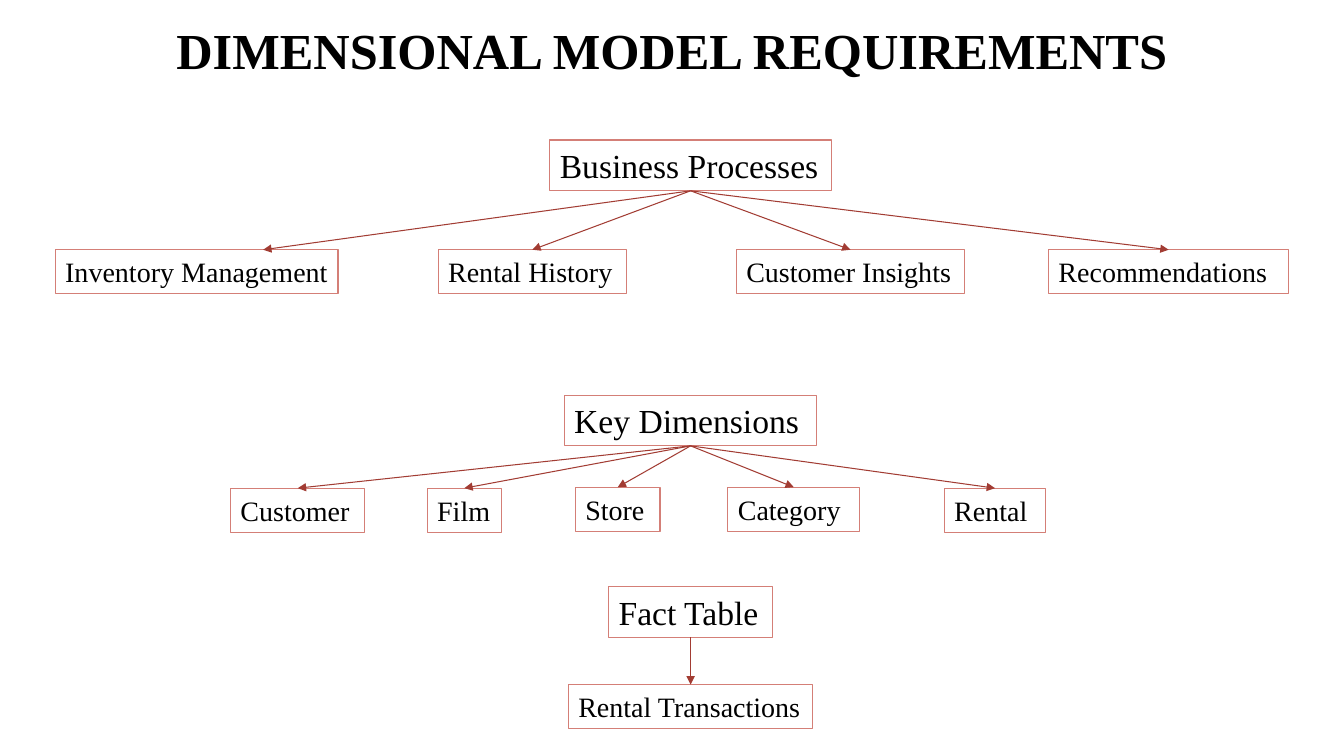
from lxml import etree
from pptx import Presentation
from pptx.dml.color import RGBColor
from pptx.enum.shapes import MSO_CONNECTOR as CONN, MSO_SHAPE as SHAPE
from pptx.enum.text import MSO_ANCHOR as ANCHOR, MSO_AUTO_SIZE as AUTO, PP_ALIGN as ALIGN
from pptx.oxml.ns import qn
from pptx.util import Pt

TITLE = "DIMENSIONAL MODEL REQUIREMENTS"
# Each tree: (root text, top, width), [(child text, left, top, width, arrow end or None)]
TREES = [
    (("Business Processes", 100, 201), [
        ("Inventory Management", 39.5, 178.4, 202, 188),
        ("Rental History", 313, 178.4, 134.5, None),
        ("Customer Insights", 526, 178.4, 163, None),
        ("Recommendations", 749, 178.4, 171.5, None),
    ]),
    (("Key Dimensions", 282.2, 180.5), [
        ("Customer", 164.7, 348.7, 96, None),
        ("Film", 305.2, 348.7, 53, None),
        ("Store", 411, 348, 60.5, None),
        ("Category", 520, 348, 94, None),
        ("Rental", 674.5, 348.7, 72.5, None),
    ]),
    (("Fact Table", 419, 117), [
        ("Rental Transactions", 406, 489, 174.6, None),
    ]),
]
COLORS = {"text": "000000", "border": "D47F77", "arrow": "A23C33"}
FONT = "Times New Roman"
ROOT_X, ROOT_H, CHILD_H = 493.3, 36.3, 31.5
ROOT_SIZE, CHILD_SIZE = 24, 20
BOTTOM, TOP = 2, 0


def rgb(name):
    return RGBColor.from_string(COLORS[name])


def write(tf, text, size, bold=False):
    tf.text = text
    font = tf.paragraphs[0].runs[0].font
    font.name, font.size, font.bold = FONT, Pt(size), bold
    font.color.rgb = rgb("text")


def add_box(slide, text, left, top, width, height, size):
    sp = slide.shapes.add_shape(SHAPE.RECTANGLE, Pt(left), Pt(top), Pt(width), Pt(height))
    sp.shadow.inherit = False
    sp.fill.background()
    sp.line.color.rgb = rgb("border")
    sp.line.width = Pt(0.75)
    tf = sp.text_frame
    write(tf, text, size)
    tf.word_wrap = True
    tf.margin_right = 0
    tf.vertical_anchor = ANCHOR.TOP
    tf.paragraphs[0].alignment = ALIGN.LEFT
    return sp


def add_arrow(slide, root, child, end_x):
    start = root.left + root.width // 2, root.top + root.height
    end = Pt(end_x) if end_x else child.left + child.width // 2
    line = slide.shapes.add_connector(CONN.STRAIGHT, *start, end, child.top)
    line.begin_connect(root, BOTTOM)
    if end_x is None:
        line.end_connect(child, TOP)
    line.line.color.rgb = rgb("arrow")
    line.line.width = Pt(0.75)
    etree.SubElement(line.line._get_or_add_ln(), qn("a:tailEnd"), type="triangle")
    etree.SubElement(line._element.spPr, qn("a:effectLst"))


def main():
    prs = Presentation()
    prs.slide_width, prs.slide_height = Pt(960), Pt(540)
    slide = prs.slides.add_slide(prs.slide_layouts[5])

    title = slide.shapes.title
    title.left, title.top, title.width, title.height = Pt(99), Pt(10), Pt(762), Pt(51)
    tf = title.text_frame
    write(tf, TITLE, 36, bold=True)
    tf.auto_size = AUTO.NONE
    tf.vertical_anchor = ANCHOR.MIDDLE
    tf.paragraphs[0].alignment = ALIGN.CENTER

    for (text, top, width), children in TREES:
        root = add_box(slide, text, ROOT_X - width / 2, top, width, ROOT_H, ROOT_SIZE)
        for label, left, child_top, child_width, end_x in children:
            child = add_box(slide, label, left, child_top, child_width, CHILD_H, CHILD_SIZE)
            add_arrow(slide, root, child, end_x)

    prs.save("out.pptx")


if __name__ == "__main__":
    main()
